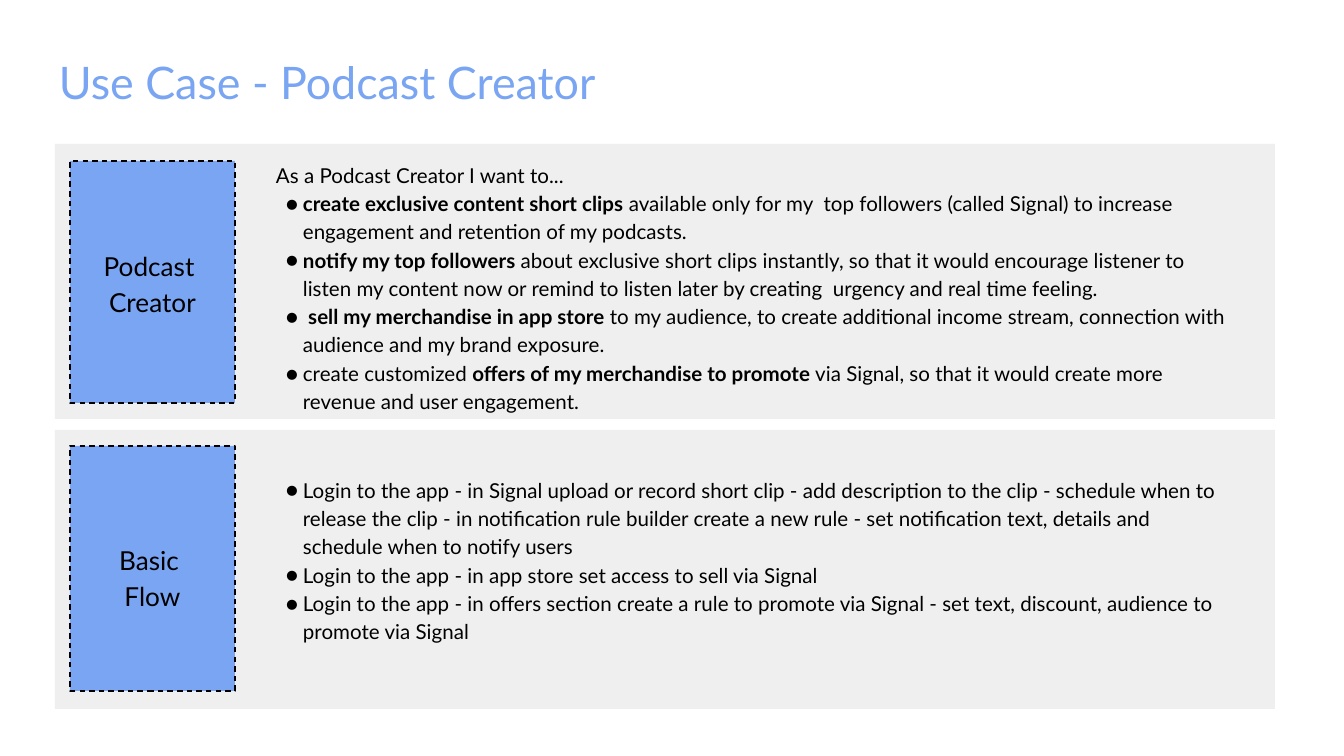
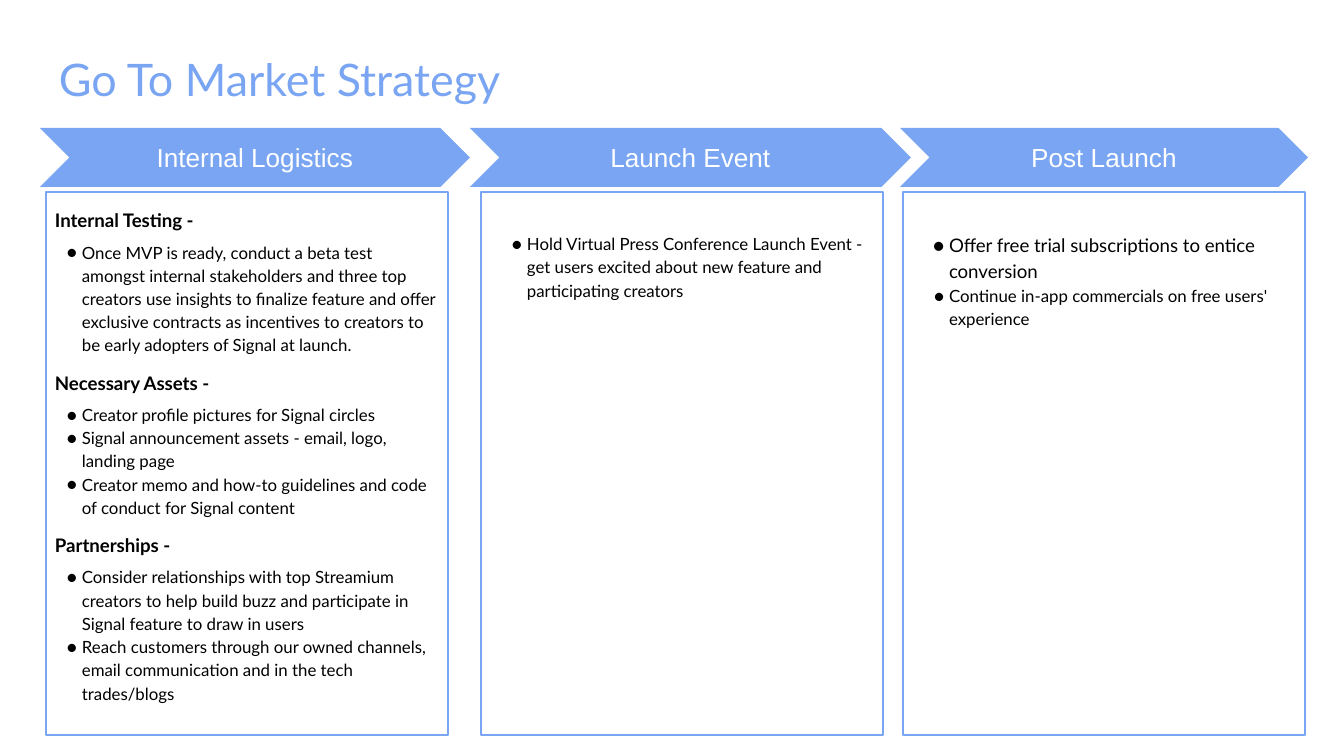
from lxml import etree
from pptx import Presentation
from pptx.dml.color import RGBColor
from pptx.enum.dml import MSO_LINE
from pptx.enum.shapes import MSO_SHAPE
from pptx.enum.text import MSO_ANCHOR, PP_ALIGN
from pptx.oxml.ns import qn
from pptx.util import Pt

PX = 914400 / 134.4
BLUE = RGBColor(0x79, 0xA5, 0xF2)
GREY = RGBColor(0xEF, 0xEF, 0xEF)
BLACK = RGBColor(0x00, 0x00, 0x00)
WHITE = RGBColor(0xFF, 0xFF, 0xFF)
RECT, CHEVRON = MSO_SHAPE.RECTANGLE, MSO_SHAPE.CHEVRON
TOP, MIDDLE = MSO_ANCHOR.TOP, MSO_ANCHOR.MIDDLE
CENTER = PP_ALIGN.CENTER
DASH = MSO_LINE.DASH
INSET = 13
BULLET_INDENT = 27


def add_box(slide, box, kind=None, fill=None, line=None, anchor=TOP,
            insets=(INSET, INSET, INSET, INSET)):
    """Add a shape, or a text box when no kind is given; insets run left, top, right, bottom."""
    place = [round(n * PX) for n in box]
    if kind is None:
        shape = slide.shapes.add_textbox(*place)
    else:
        shape = slide.shapes.add_shape(kind, *place)
        shape.shadow.inherit = False
        if fill is None:
            shape.fill.background()
        else:
            shape.fill.solid()
            shape.fill.fore_color.rgb = fill
        if line is None:
            shape.line.fill.background()
        else:
            shape.line.color.rgb = line
            shape.line.width = Pt(0.75)
    frame = shape.text_frame
    frame.word_wrap = True
    frame.vertical_anchor = anchor
    (frame.margin_left, frame.margin_top,
     frame.margin_right, frame.margin_bottom) = [round(n * PX) for n in insets]
    return shape


def write(shape, text, size, color=BLACK, font="Lato", align=None,
          spacing=1.15, before=0, hang=0):
    """Append a paragraph; ** switches bold, and hang is the bullet's hanging indent."""
    frame = shape.text_frame
    first = frame.paragraphs[0]
    paragraph = frame.add_paragraph() if first.runs else first
    paragraph.alignment = align
    paragraph.line_spacing = spacing
    paragraph.space_before = Pt(before)
    if hang:
        properties = paragraph._p.get_or_add_pPr()
        properties.set("marL", str(round(BULLET_INDENT * PX)))
        properties.set("indent", str(round(-hang * PX)))
        bullet_color = etree.SubElement(properties, qn("a:buClr"))
        etree.SubElement(bullet_color, qn("a:srgbClr"), val=str(color))
        etree.SubElement(properties, qn("a:buFont"), typeface=font)
        etree.SubElement(properties, qn("a:buChar"), char="●")
    for i, part in enumerate(text.split("**")):
        if part:
            run = paragraph.add_run()
            run.text = part
            run.font.name = font
            run.font.size = Pt(size)
            run.font.bold = i % 2 == 1
            run.font.color.rgb = color


prs = Presentation()
prs.slide_width, prs.slide_height = round(1344 * PX), round(756 * PX)
slides = []
for title, anchor in [("Use Case - Podcast Creator", MIDDLE),
                      ("Go To Market Strategy", TOP)]:
    slide = prs.slides.add_slide(prs.slide_layouts[6])
    heading = add_box(slide, (46, 39, 1253, 85), anchor=anchor)
    write(heading, title, 24, BLUE, spacing=1.0)
    slides.append(slide)
use_case, strategy = slides

# Use case: panel top and height, label top, height and top inset, text top and top inset
panels = [
    (144, 275, 161, 242, INSET, 159, 0, ["Podcast ", "Creator"],
     "As a Podcast Creator I want to...", [
         "**create exclusive content short clips** available only for my  top followers "
         "(called Signal) to increase engagement and retention of my podcasts.",
         "**notify my top followers **about exclusive short clips instantly, so that it would "
         "encourage listener to listen my content now or remind to listen later by creating  "
         "urgency and real time feeling.",
         " **sell my merchandise in app store **to my audience, to create additional income "
         "stream, connection with audience and my brand exposure.",
         "create customized **offers of my merchandise to promote** via Signal, so that it "
         "would create more revenue and user engagement.",
     ]),
    (430, 279, 446, 245, INSET + 14, 446, 28, ["Basic ", "Flow"], None, [
        "Login to the app - in Signal upload or record short clip - add description to the "
        "clip - schedule when to release the clip - in notification rule builder create a new "
        "rule - set notification text, details and schedule when to notify users",
        "Login to the app - in app store set access to sell via Signal",
        "Login to the app - in offers section create a rule to promote via Signal - set text, "
        "discount, audience to promote via Signal",
    ]),
]
for (panel_top, panel_height, label_top, label_height, label_inset,
     text_top, text_inset, label_lines, intro, points) in panels:
    add_box(use_case, (55, panel_top, 1220, panel_height), RECT, GREY)
    details = add_box(use_case, (263, text_top, 979, 245),
                      insets=(INSET, text_inset, INSET, INSET))
    if intro:
        write(details, intro, 11)
    for point in points:
        write(details, point, 11, hang=17)
    label = add_box(use_case, (70, label_top, 165, label_height), RECT, BLUE, BLACK,
                    MIDDLE, (INSET, label_inset, INSET, INSET))
    label.line.dash_style = DASH
    for label_line in label_lines:
        write(label, label_line, 14, align=CENTER)

# Strategy: chevron width, frame left, text left, width and top inset, sections of sized points
phases = [
    ("Internal Logistics", 430, 46, 55, 383, 0, [
        ("Internal Testing -", [
            ("Once MVP is ready, conduct a beta test amongst internal stakeholders and three "
             "top creators use insights to finalize feature and offer exclusive contracts as "
             "incentives to creators to be early adopters of Signal at launch.", 9)]),
        ("Necessary Assets -", [
            ("Creator profile pictures for Signal circles", 9),
            ("Signal announcement assets - email, logo, landing page", 9),
            ("Creator memo and how-to guidelines and code of conduct for Signal content", 9)]),
        ("Partnerships -", [
            ("Consider relationships with top Streamium creators to help build buzz and "
             "participate in Signal feature to draw in users", 9),
            ("Reach customers through our owned channels, email communication and in the "
             "tech trades/blogs", 9)]),
    ]),
    ("Launch Event", 441, 481, 500, 364, 25, [
        (None, [("Hold Virtual Press Conference Launch Event - get users excited about new "
                 "feature and participating creators", 9)]),
    ]),
    ("Post Launch", 408, 903, 922, 364, 25, [
        (None, [("Offer free trial subscriptions to entice conversion", 10),
                ("Continue in-app commercials on free users' experience", 9)]),
    ]),
]
for i, (phase, chevron_width, frame_left, text_left, text_width,
        text_inset, sections) in enumerate(phases):
    add_box(strategy, (frame_left, 192, 402, 543), RECT, line=BLUE)
    plan = add_box(strategy, (text_left, 206, text_width, 514), insets=(0, text_inset, 0, 0))
    for j, (section, points) in enumerate(sections):
        if section:
            write(plan, f"**{section}**", 10, before=7 if j else 0)
        for k, (point, size) in enumerate(points):
            write(plan, point, size, before=4 if section and k == 0 else 0,
                  hang=16 if size == 10 else 15)
    chevron = add_box(strategy, (40 + 430 * i, 128, chevron_width, 59), CHEVRON, BLUE,
                      anchor=MIDDLE)
    write(chevron, phase, 14, WHITE, "Arial", CENTER, spacing=1.0)

prs.save("out.pptx")
